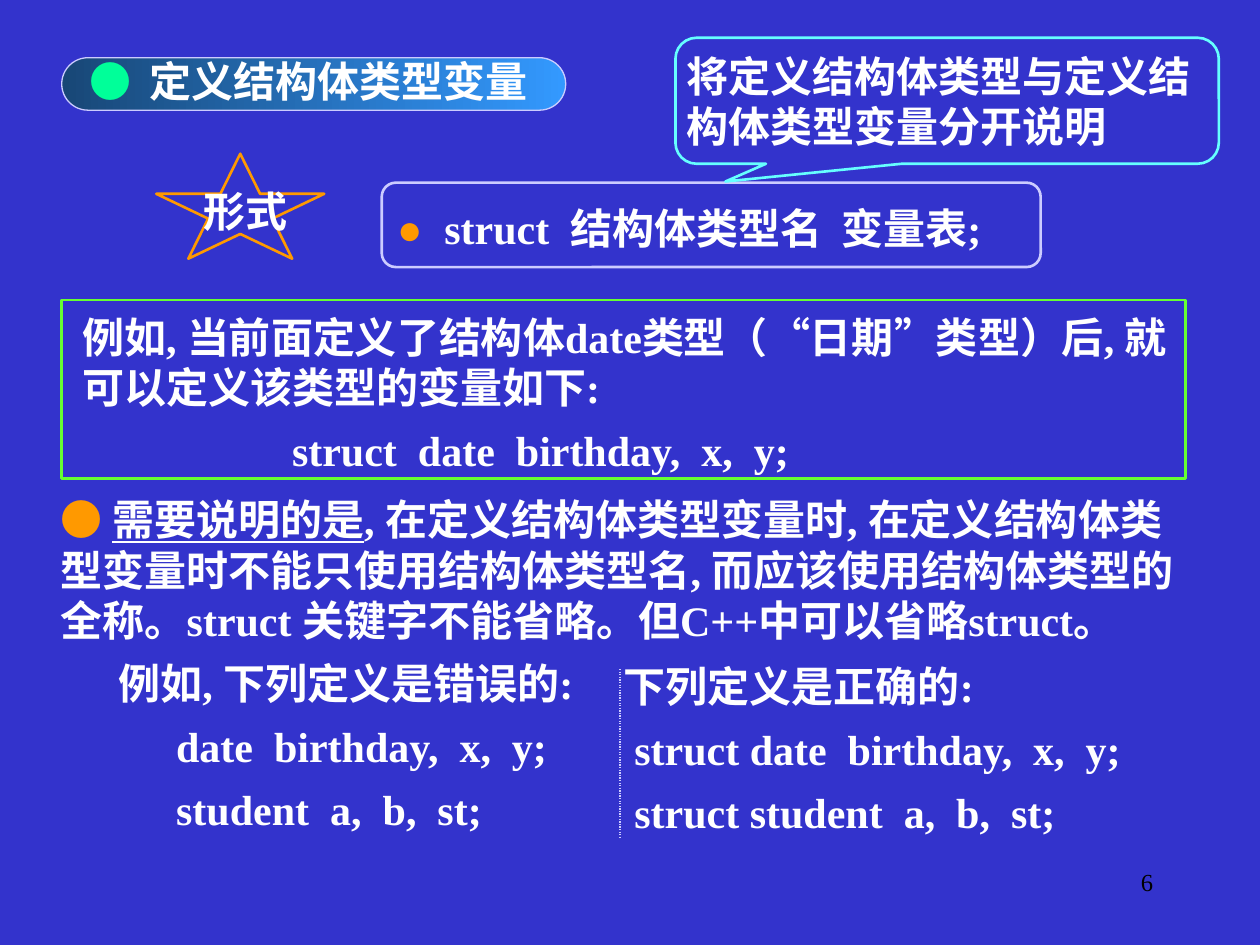
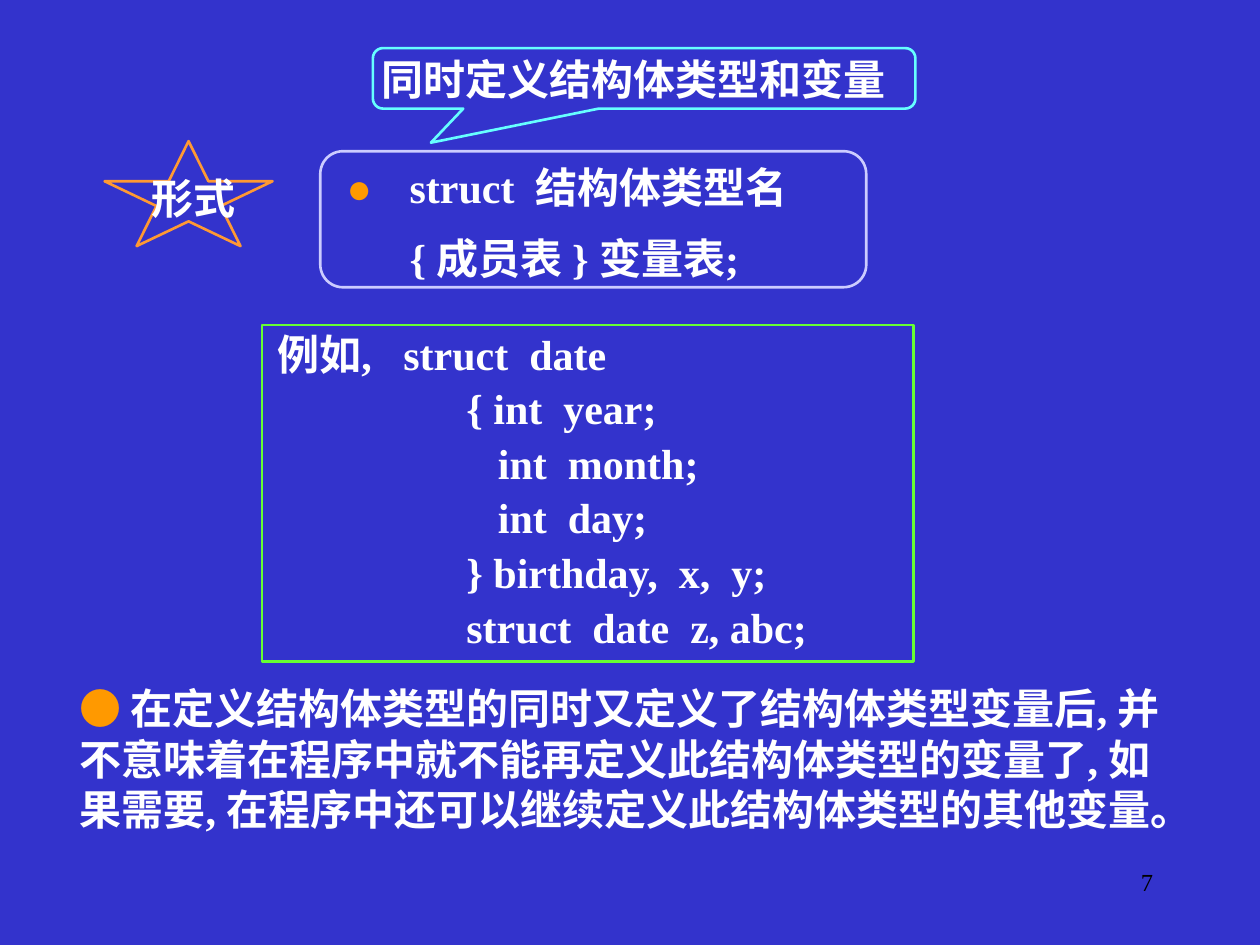
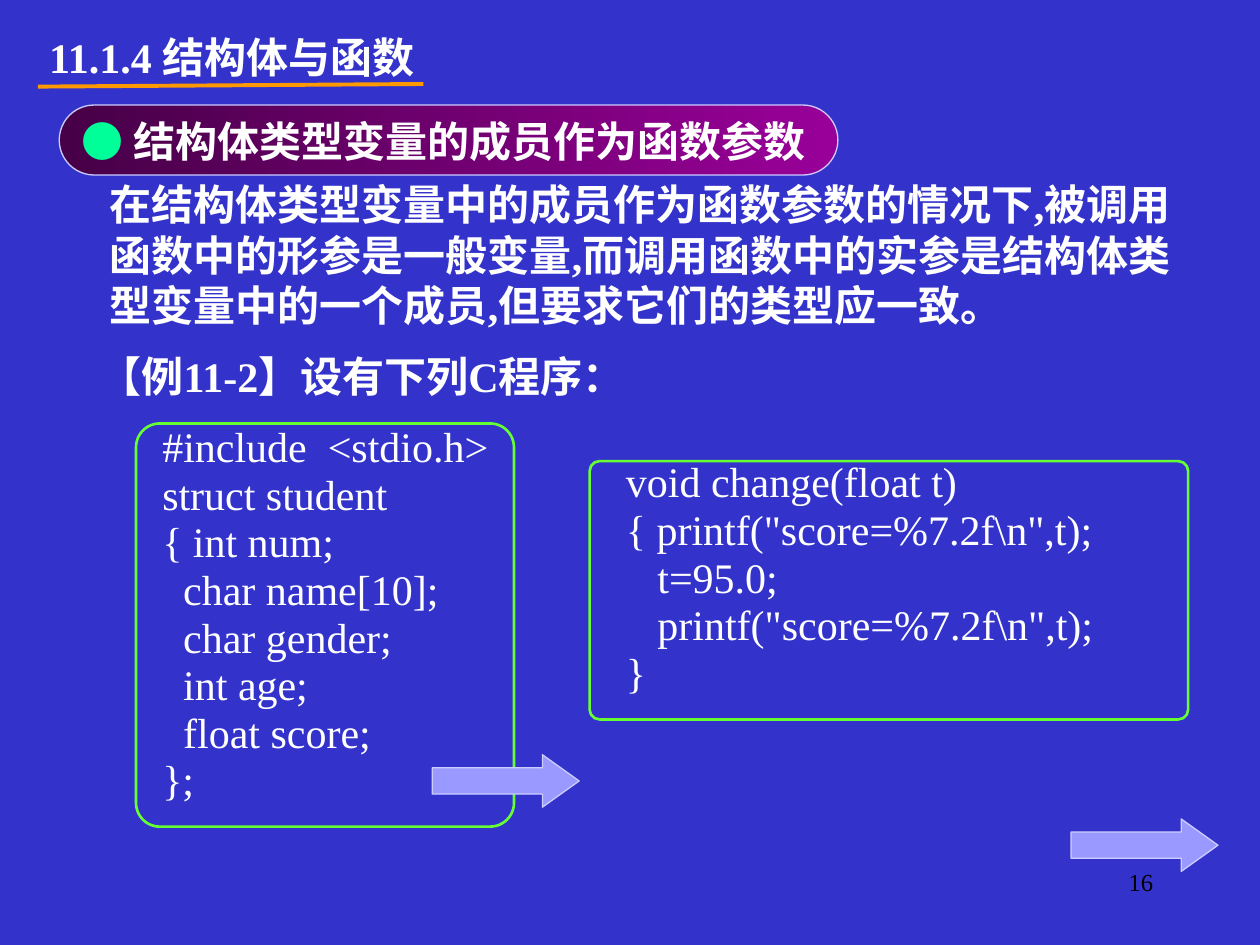
"""Build three slides on struct variables in C."""
from lxml import etree
from pptx import Presentation
from pptx.dml.color import RGBColor
from pptx.enum.dml import MSO_LINE
from pptx.enum.shapes import MSO_CONNECTOR, MSO_SHAPE
from pptx.enum.text import MSO_ANCHOR, MSO_AUTO_SIZE, PP_ALIGN
from pptx.oxml.ns import qn
from pptx.util import Pt

RECT, ROUND = MSO_SHAPE.RECTANGLE, MSO_SHAPE.ROUNDED_RECTANGLE
STAR, ARROW = MSO_SHAPE.STAR_5_POINT, MSO_SHAPE.RIGHT_ARROW
CALLOUT = MSO_SHAPE.ROUNDED_RECTANGULAR_CALLOUT
STRAIGHT, DOTTED = MSO_CONNECTOR.STRAIGHT, MSO_LINE.ROUND_DOT
TOP, MIDDLE = MSO_ANCHOR.TOP, MSO_ANCHOR.MIDDLE
LEFT, RIGHT = PP_ALIGN.LEFT, PP_ALIGN.RIGHT
FIXED = MSO_AUTO_SIZE.NONE
TITLE_ONLY, BLANK = 5, 6

FONT = "Times New Roman"
COLORS = {
    "back": "3333CC", "text": "FFFFFF", "number": "000000",
    "orange": "FF9900", "star": "FF9933", "mint": "00FF99",
    "lilac": "CCCCFF", "green": "66FF33", "cyan": "66FFFF",
    "arrow": "9999FF", "navy": "184776", "blue": "3399FF",
    "plum": "470047", "purple": "990099",
}


def rgb(name):
    """Return the named colour."""
    return RGBColor.from_string(COLORS[name])


class Deck:
    """Hold the shared style and the current slide."""

    def __init__(self):
        """Set the slide size and the background."""
        self.prs = Presentation()
        self.prs.slide_width, self.prs.slide_height = Pt(720), Pt(540)
        fill = self.prs.slide_master.background.fill
        fill.solid()
        fill.fore_color.rgb = rgb("back")

    def slide(self, number, layout=BLANK):
        """Start a slide with its page number."""
        self.s = self.prs.slides.add_slide(self.prs.slide_layouts[layout])
        self.text((516.24, 491.76, 149.76, 36), [str(number)], inset=(7.2, 3.6),
                  size=14, color="number", bold=False, align=RIGHT)

    def fill_text(self, tf, lines, before=7.2, spacing=None, inset=(3, 0), size=24,
                  color="text", bold=True, align=LEFT, anchor=TOP, indents=(),
                  dot=None, tab=None, underlined=""):
        """Fill a text frame, with an optional dot ahead of the first line."""
        tf.word_wrap, tf.auto_size, tf.vertical_anchor = True, FIXED, anchor
        tf.margin_left = tf.margin_right = Pt(inset[0])
        tf.margin_top = tf.margin_bottom = Pt(inset[1])
        for i, line in enumerate(lines):
            p = tf.add_paragraph() if i else tf.paragraphs[0]
            pPr = p._p.get_or_add_pPr()
            if i < len(indents):
                pPr.set("marL", str(Pt(indents[i])))
                pPr.set("indent", "0")
            if tab and not i:
                tabs = etree.SubElement(pPr, qn("a:tabLst"))
                etree.SubElement(tabs, qn("a:tab"), pos=str(Pt(tab)), algn="l")
            p.alignment = align
            p.space_before = Pt(before if i else 0)
            if spacing:
                p.line_spacing = Pt(spacing)
            pieces = [(line, color, bold, False)]
            if not i and underlined:
                pieces.insert(0, (underlined, color, bold, True))
            if not i and dot:
                pieces.insert(0, ("●\t" if tab else "● ", dot, False, False))
            for content, tint, strong, under in pieces:
                r = p.add_run()
                r.text = content
                r.font.name, r.font.size = FONT, Pt(size)
                r.font.bold, r.font.underline = strong, under
                r.font.color.rgb = rgb(tint)

    def text(self, box, lines, **style):
        """Add a text box."""
        tb = self.s.shapes.add_textbox(*map(Pt, box))
        self.fill_text(tb.text_frame, lines, **style)

    def title(self, box, content):
        """Place and format the title placeholder."""
        sp = self.s.shapes.title
        sp.left, sp.top, sp.width, sp.height = map(Pt, box)
        self.fill_text(sp.text_frame, [content], inset=(7.2, 3.6))

    def shape(self, kind, box, line, width=1.5, adj=(), fill=None):
        """Add an outlined shape with no, plain or gradient fill."""
        sp = self.s.shapes.add_shape(kind, *map(Pt, box))
        sp.shadow.inherit = False
        for i, value in enumerate(adj):
            sp.adjustments[i] = value
        if fill is None:
            sp.fill.background()
        elif isinstance(fill, tuple):
            sp.fill.gradient()
            sp.fill.gradient_angle = 0
            for stop, name, position in zip(sp.fill.gradient_stops, fill, (0, 1)):
                stop.color.rgb, stop.position = rgb(name), position
        else:
            sp.fill.solid()
            sp.fill.fore_color.rgb = rgb(fill)
        sp.line.color.rgb, sp.line.width = rgb(line), Pt(width)
        return sp

    def line(self, start, end, color, width, dash=None):
        """Add a straight line."""
        c = self.s.shapes.add_connector(STRAIGHT, *map(Pt, start + end))
        c.line.color.rgb, c.line.width = rgb(color), Pt(width)
        if dash:
            c.line.dash_style = dash
        etree.SubElement(c._element.spPr, qn("a:effectLst"))

    def form_star(self, x, y, color):
        """Add the star that labels a syntax form."""
        self.shape(STAR, (x, y, 96, 60), color)
        self.text((x + 24, y + 18, 54, 28.8), ["形式"])

    def callout(self, box, content, tip):
        """Add a callout pointing at the syntax form."""
        sp = self.shape(CALLOUT, box, "cyan", adj=(*tip, 0.167))
        self.fill_text(sp.text_frame, [content], anchor=MIDDLE)

    def heading(self, pill, box, content, fill, tab=None):
        """Add a gradient pill with a dotted heading."""
        self.shape(ROUND, pill, "lilac", 0.75, (0.5,), fill)
        self.text(box, [content], inset=(7.2, 3.6), dot="mint", tab=tab)

    def arrow(self, x, y):
        """Add a block arrow to the next piece of code."""
        self.shape(ARROW, (x, y, 84, 30), "lilac", 0.75, (0.5, 0.7), "arrow")

    def code(self, box, frame, corner, lines):
        """Add a framed program listing."""
        self.text(box, lines, spacing=20, bold=False, indents=[12] * len(lines))
        self.shape(ROUND, frame, "green", adj=(corner,))


def separate_definition(d):
    """Build the slide on defining variables after the type."""
    d.slide(6)
    d.form_star(89.28, 87.84, "orange")
    d.text((223.92, 115.92, 370.8, 28.8), ["struct  结构体类型名  变量表;"],
           dot="orange", tab=27)
    d.shape(ROUND, (218.16, 104.4, 376.56, 48.24), "lilac", adj=(0.167,))
    d.text((43.92, 177.84, 633.6, 95.76),
           ["例如, 当前面定义了结构体date类型（“日期”类型）后, 就可以定义该类型的变量如下:",
            "struct  date  birthday,  x,  y;"], indents=(0, 120))
    d.shape(RECT, (35.28, 171.36, 642.24, 102.24), "green")
    d.heading((35.28, 33, 288, 30), (43.92, 28.08, 282.24, 36),
              "定义结构体类型变量", ("navy", "blue"), tab=34.5)
    d.callout((386, 21.6, 310.5, 72), "将定义结构体类型与定义结构体类型变量分开说明",
              (-0.408, 0.641))
    d.text((31.68, 282.24, 645.12, 229.68),
           [", 在定义结构体类型变量时, 在定义结构体类型变量时不能只使用结构体类型名, "
            "而应该使用结构体类型的全称。struct 关键字不能省略。但C++中可以省略struct。",
            "例如, 下列定义是错误的:", "date  birthday,  x,  y;", "student  a,  b,  st;"],
           indents=(0, 33, 66, 66), dot="orange", underlined="需要说明的是")
    d.line((354.24, 382.32), (354.24, 478.8), "lilac", 0.75, DOTTED)
    d.text((353.52, 377.28, 318.96, 104.4),
           ["下列定义是正确的:", "struct date  birthday,  x,  y;",
            "struct student  a,  b,  st;"], indents=(0, 6, 6))


def joint_definition(d):
    """Build the slide on defining type and variables together."""
    d.slide(7)
    d.form_star(59.76, 80.64, "star")
    d.text((195.12, 92.16, 275.76, 72.72),
           ["struct  结构体类型名", "{ 成员表 } 变量表;"],
           before=12, indents=(0, 36), dot="orange", tab=27)
    d.shape(ROUND, (183, 86.4, 312, 77.76), "lilac", adj=(0.167,))
    d.callout((213.12, 27.5, 310, 34.56), "同时定义结构体类型和变量", (-0.393, 1.064))
    d.text((155.52, 192.24, 360.72, 189.36),
           ["例如,\tstruct  date", "{ int  year;", "   int  month;", "   int  day;",
            "} birthday,  x,  y;", "struct  date  z, abc;"],
           spacing=24, indents=[0] + [108] * 5, tab=114)
    d.shape(RECT, (149.76, 185.76, 372.24, 192.24), "green")
    d.text((42.48, 390.24, 629.28, 87.12),
           ["在定义结构体类型的同时又定义了结构体类型变量后, 并不意味着在程序中就不能再定义"
            "此结构体类型的变量了, 如果需要, 在程序中还可以继续定义此结构体类型的其他变量。"],
           dot="orange")


def member_arguments(d):
    """Build the slide on members as function arguments."""
    d.slide(16, TITLE_ONLY)
    d.title((20.88, 14.4, 272.88, 36), "11.1.4 结构体与函数")
    d.line((21.6, 49.5), (242, 48), "orange", 2.25)
    d.heading((33.84, 60, 444.96, 40), (39.6, 62.64, 468, 36),
              "结构体类型变量的成员作为函数参数", ("plum", "purple"))
    d.text((59.76, 102.24, 624.24, 87.12),
           ["在结构体类型变量中的成员作为函数参数的情况下,被调用函数中的形参是一般变量,"
            "而调用函数中的实参是结构体类型变量中的一个成员,但要求它们的类型应一致。"])
    d.text((54, 200.16, 390.24, 28.8), ["【例11-2】设有下列C程序："])
    d.code((77.76, 249.12, 216, 223.2), (77.76, 242, 216, 230.4), 0.063,
           ["#include  <stdio.h>", "struct student", "{ int num;", "  char name[10];",
            "  char gender;", "  int age;", "  float score;", "};"])
    d.code((342.72, 269.28, 341.28, 136.08), (336.96, 263.5, 342, 147.6), 0.038,
           ["void change(float t)", '{ printf("score=%7.2f\\n",t);', "   t=95.0;",
            '   printf("score=%7.2f\\n",t);', "}"])
    d.arrow(246.96, 431.28)
    d.arrow(612, 468)


def main():
    """Build and save the deck."""
    d = Deck()
    separate_definition(d)
    joint_definition(d)
    member_arguments(d)
    d.prs.save("out.pptx")


if __name__ == "__main__":
    main()
